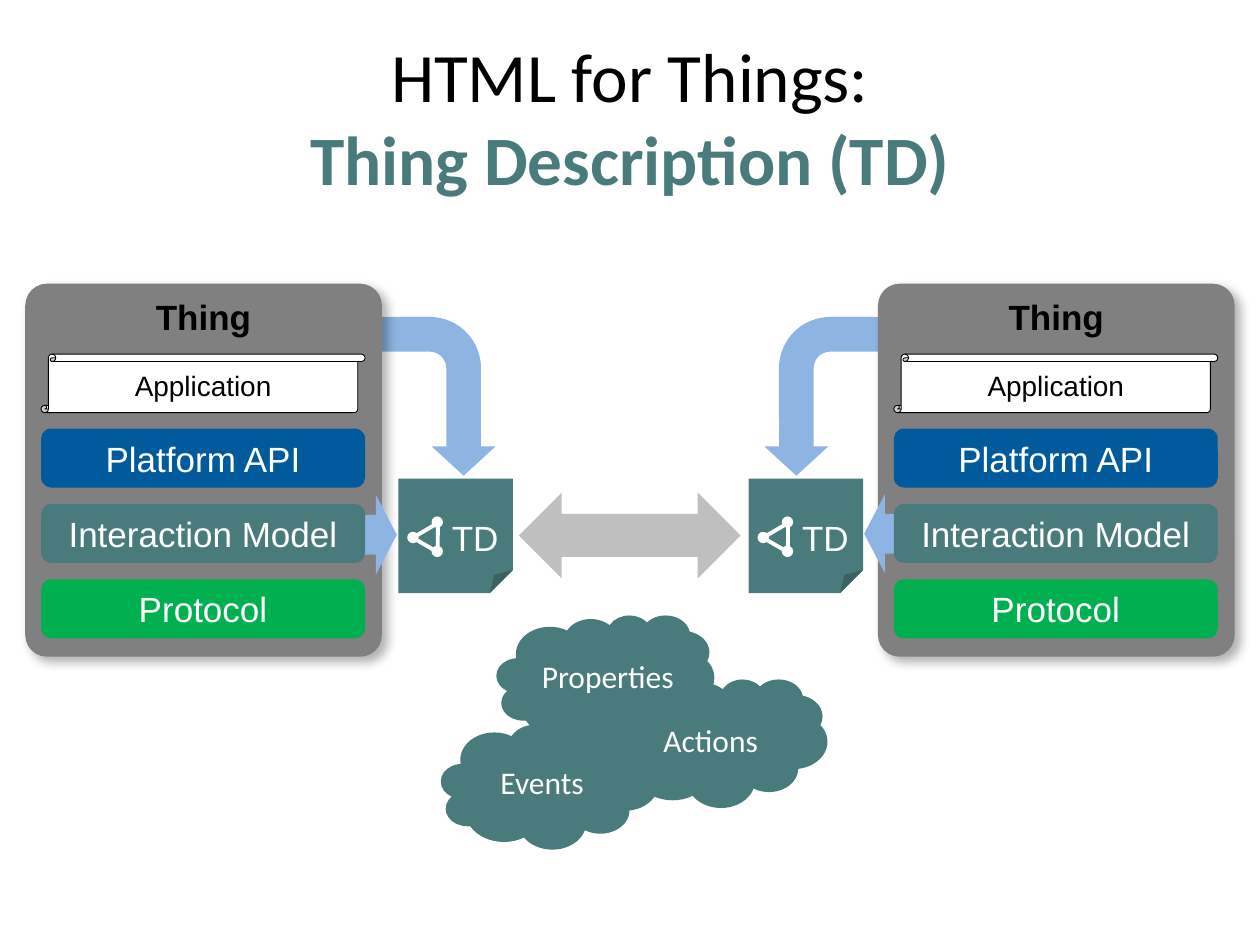
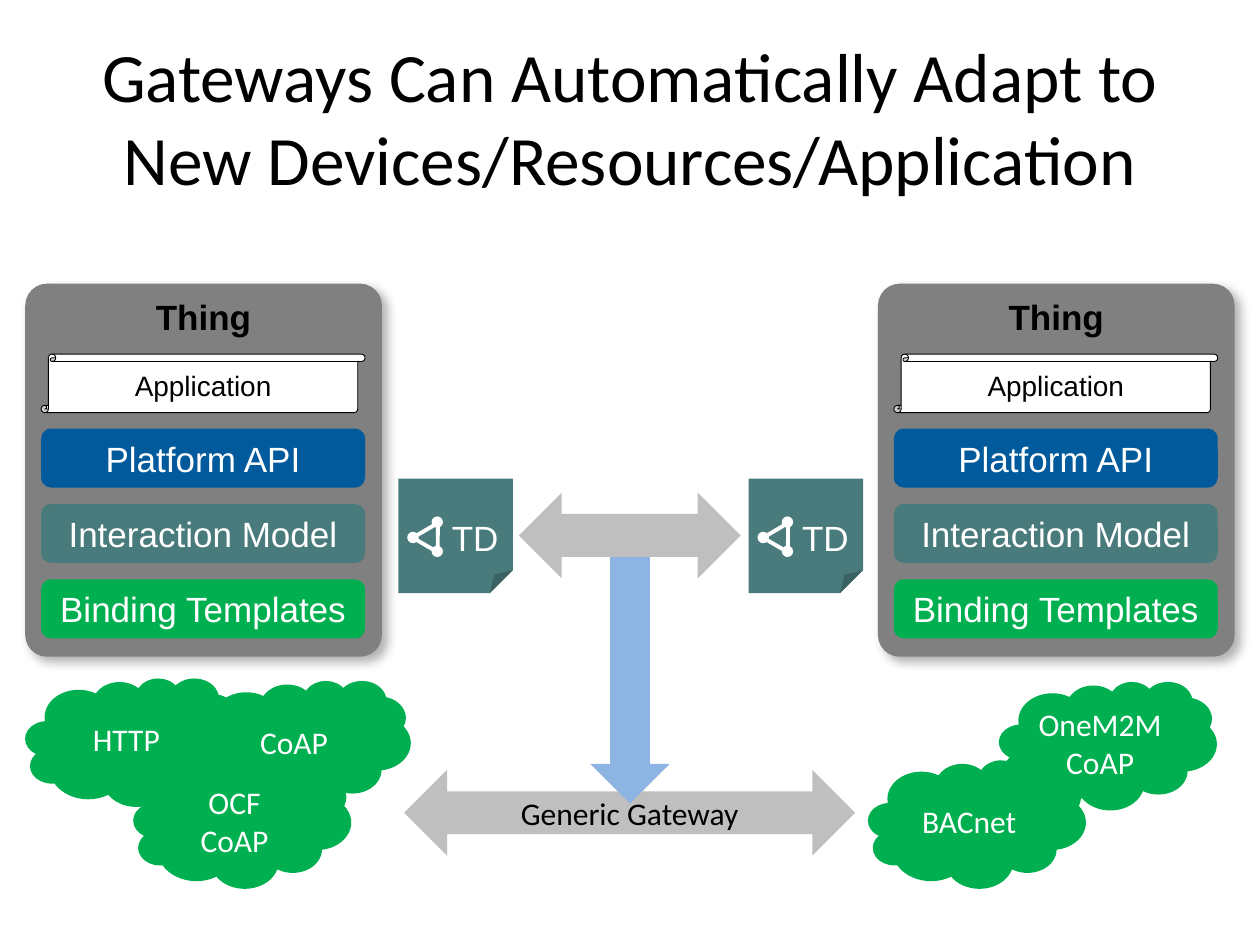
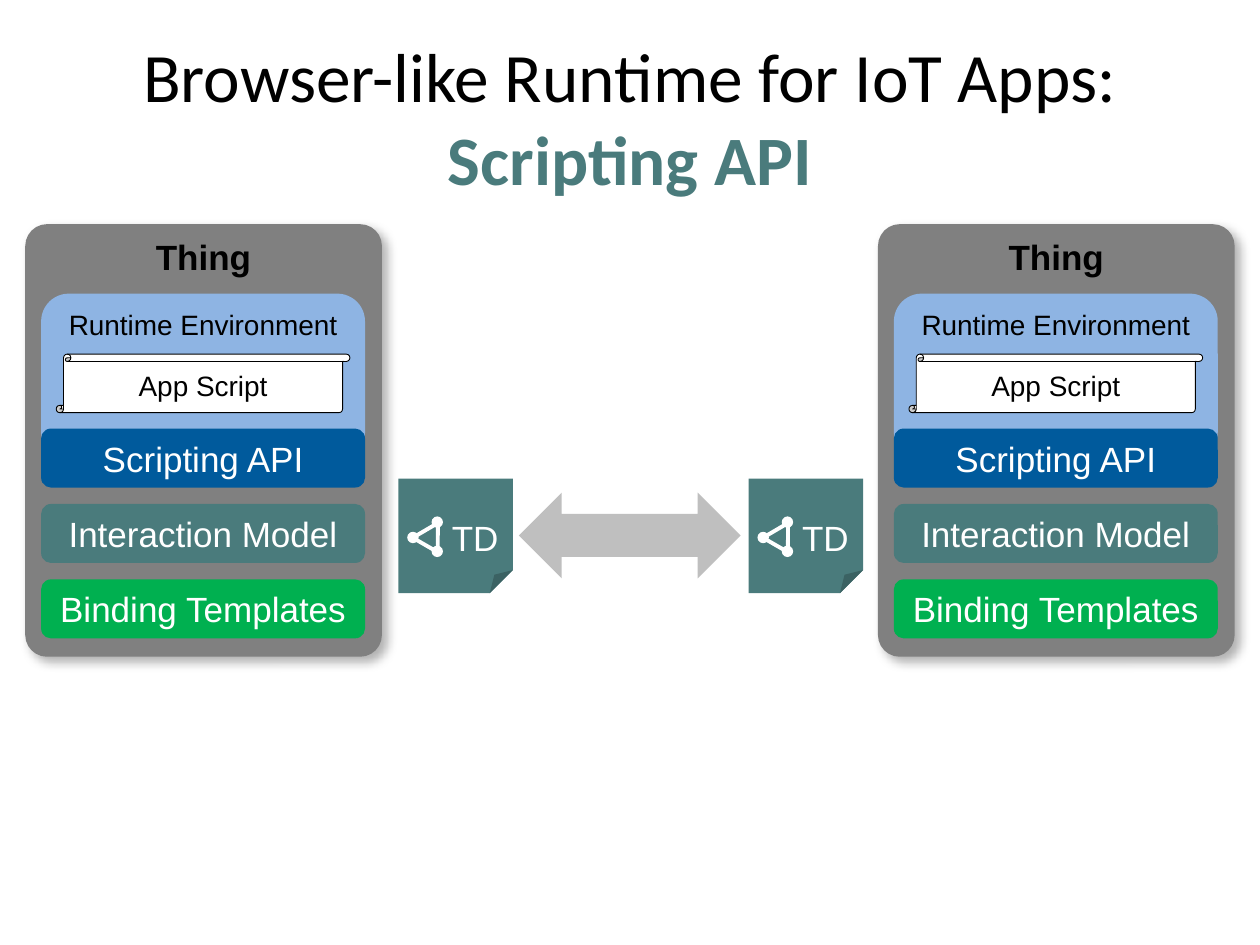
from lxml.etree import SubElement
from pptx import Presentation
from pptx.dml.color import RGBColor
from pptx.enum.shapes import MSO_SHAPE
from pptx.enum.text import MSO_ANCHOR, PP_ALIGN
from pptx.oxml.ns import qn
from pptx.util import Cm, Pt

BLACK = RGBColor(0x00, 0x00, 0x00)
WHITE = RGBColor(0xFF, 0xFF, 0xFF)
GRAY = RGBColor(0x80, 0x80, 0x80)
SILVER = RGBColor(0xBF, 0xBF, 0xBF)
SKY = RGBColor(0x8E, 0xB4, 0xE3)
BLUE = RGBColor(0x00, 0x5A, 0x9C)
TEAL = RGBColor(0x4A, 0x7B, 0x7C)
GREEN = RGBColor(0x00, 0xB0, 0x50)
DIAGRAM_FONT, BODY_FONT = "Arial", "Calibri"

SLIDES = [
    {
        "title": ["HTML for Things:", "Thing Description (TD)"],
        "script": "Application",
        "layers": ["Platform API", "Interaction Model", "Protocol"],
        "feeds": True,
        "cloud_color": TEAL,
        "clouds": [("Properties", 10.01, 12.4), ("Actions", 12.29, 13.69), ("Events", 8.89, 14.53)],
    },
    {
        "title": ["Gateways Can Automatically Adapt to New Devices/Resources/Application"],
        "script": "Application",
        "layers": ["Platform API", "Interaction Model", "Binding Templates"],
        "gateway": "Generic Gateway",
        "cloud_color": GREEN,
        "clouds": [
            ("CoAP", 3.89, 13.72),
            ("OneM2M\nCoAP", 20.14, 13.74),
            ("OCF\nCoAP", 2.69, 15.32),
            ("BACnet", 17.5, 15.32),
            ("HTTP", 0.51, 13.67),
        ],
    },
    {
        "title": ["Browser-like Runtime for IoT Apps:", "Scripting API"],
        "script": "App Script",
        "layers": ["Scripting API", "Interaction Model", "Binding Templates"],
        "runtime": "Runtime Environment",
    },
]

THING_LEFTS = (0.51, 17.7)
THING_WIDTH, THING_BOTTOM = 7.19, 13.24
LAYER_INSET, LAYER_WIDTH, LAYER_HEIGHT = 0.32, 6.53, 1.19
LAYER_TOP, LAYER_STEP = 8.64, 1.52
LAYER_COLORS = (BLUE, TEAL, GREEN)
SCRIPT_TOP, SCRIPT_HEIGHT = 7.14, 1.18
NOTE_LEFTS, NOTE_TOP, NOTE_SIZE = (8.03, 15.09), 9.65, 2.31
DOTS = ((0.67, 0.76, 330), (0.18, 1.07, 330), (0.67, 1.35, 30))
DOT_SIZE = 0.23
CLOUD_WIDTH, CLOUD_HEIGHT = 4.39, 2.59
BENT_ARROWS = ((7.21, 90, False), (14.99, 270, True))
STUB_ARROWS = ((6.78, 10.36, 270), (17.04, 10.34, 90))


def add_shape(owner, preset, left, top, width, height, fill=None, line=None, weight=0.5, turn=0):
    shape = owner.shapes.add_shape(preset, Cm(left), Cm(top), Cm(width), Cm(height))
    shape.shadow.inherit = False
    shape.rotation = turn
    if fill is None:
        shape.fill.background()
    else:
        shape.fill.solid()
        shape.fill.fore_color.rgb = fill
    if line is None:
        shape.line.fill.background()
    else:
        shape.line.color.rgb = line
        shape.line.width = Pt(weight)
    return shape


def set_fold(shape, ratio):
    guides = shape._element.spPr.find(qn("a:prstGeom")).find(qn("a:avLst"))
    for guide in list(guides):
        guides.remove(guide)
    SubElement(guides, qn("a:gd"), name="adj", fmla=f"val {round(ratio * 100000)}")


def style_text(box, text, size, color, font=DIAGRAM_FONT, bold=False, anchor=MSO_ANCHOR.MIDDLE, insets=None, wrap=False):
    frame = box.text_frame
    frame.word_wrap = wrap
    frame.vertical_anchor = anchor
    if insets:
        frame.margin_left, frame.margin_top, frame.margin_right, frame.margin_bottom = map(Cm, insets)
    paragraph = frame.paragraphs[0]
    paragraph.text = text
    paragraph.alignment = PP_ALIGN.CENTER
    for span in paragraph.runs:
        span.font.name = font
        span.font.size = Pt(size)
        span.font.bold = bold
        span.font.color.rgb = color
    return paragraph.runs


def add_title(page, lines):
    box = page.shapes.add_textbox(Cm(1.27), Cm(0.76), Cm(22.86), Cm(3.18))
    spans = style_text(box, "\v".join(lines), 39.6, BLACK, BODY_FONT, wrap=True)
    for span in spans[1:]:
        span.font.bold = True
        span.font.color.rgb = TEAL


def add_soft_shadow(shape):
    effects = shape._element.spPr.find(qn("a:effectLst"))
    shadow = SubElement(effects, qn("a:outerShdw"), blurRad=str(Pt(6)), dist=str(Pt(4)),
                        dir="2700000", algn="tl", rotWithShape="0")
    color = SubElement(shadow, qn("a:srgbClr"), val=str(BLACK))
    SubElement(color, qn("a:alpha"), val="30000")


def add_thing_panel(page, left, top):
    panel = add_shape(page, MSO_SHAPE.ROUNDED_RECTANGLE, left, top, THING_WIDTH, THING_BOTTOM - top, GRAY)
    panel.adjustments[0] = 0.061
    add_soft_shadow(panel)
    style_text(panel, "Thing", 20, BLACK, bold=True, anchor=MSO_ANCHOR.TOP, insets=(0.25, 0.1, 0.25, 0.2))


def add_thing_layers(page, left, content):
    left += LAYER_INSET
    script_width = LAYER_WIDTH
    if "runtime" in content:
        script_width = 5.92
        runtime = add_shape(page, MSO_SHAPE.ROUNDED_RECTANGLE, left, 5.92, LAYER_WIDTH, 3.35, SKY)
        style_text(runtime, content["runtime"], 16, BLACK, anchor=MSO_ANCHOR.TOP)
    for row, (name, color) in enumerate(zip(content["layers"], LAYER_COLORS)):
        layer = add_shape(page, MSO_SHAPE.ROUNDED_RECTANGLE, left, LAYER_TOP + row * LAYER_STEP,
                          LAYER_WIDTH, LAYER_HEIGHT, color)
        style_text(layer, name, 20, WHITE)
    script = add_shape(page, MSO_SHAPE.VERTICAL_SCROLL, left + (LAYER_WIDTH - script_width) / 2,
                       SCRIPT_TOP, script_width, SCRIPT_HEIGHT, WHITE, BLACK)
    style_text(script, content["script"], 16, BLACK)


def add_bent_arrows(page):
    for left, turn, flipped in BENT_ARROWS:
        arrow = add_shape(page, MSO_SHAPE.BENT_ARROW, left, 6.81, 3.2, 2.36, SKY, turn=turn)
        for position, ratio in enumerate((0.296, 0.273, 0.25, 0.438)):
            arrow.adjustments[position] = ratio
        if flipped:
            arrow._element.spPr.xfrm.set("flipH", "1")


def add_stub_arrows(page):
    for left, top, turn in STUB_ARROWS:
        add_shape(page, MSO_SHAPE.DOWN_ARROW, left, top, 1.6, 0.84, SKY, turn=turn)


def add_clouds(page, clouds, color):
    for name, left, top in clouds:
        cloud = add_shape(page, MSO_SHAPE.CLOUD, left, top, CLOUD_WIDTH, CLOUD_HEIGHT, color)
        insets = (0.41, 0.13, 0, 0.13) if name == "Properties" else None
        style_text(cloud, name.replace("\n", "\v"), 18, WHITE, BODY_FONT, insets=insets)


def add_gateway(page, name):
    gateway = add_shape(page, MSO_SHAPE.LEFT_RIGHT_ARROW, 8.15, 15.52, 9.09, 1.73, SILVER)
    style_text(gateway, name, 18, BLACK, BODY_FONT)
    add_shape(page, MSO_SHAPE.DOWN_ARROW, 11.9, 10.64, 1.6, 5.56, SKY)


def add_description_note(page, left):
    group = page.shapes.add_group_shape()
    note = add_shape(group, MSO_SHAPE.FOLDED_CORNER, left, NOTE_TOP, NOTE_SIZE, NOTE_SIZE, TEAL)
    set_fold(note, 0.202)
    style_text(note, "TD", 20, WHITE, insets=(0.79, 0.51, 0, 0), wrap=True)
    add_shape(group, MSO_SHAPE.ISOSCELES_TRIANGLE, left + 0.38, NOTE_TOP + 0.86, 0.58, 0.51,
              line=WHITE, weight=2.25, turn=30)
    for across, down, turn in DOTS:
        add_shape(group, MSO_SHAPE.OVAL, left + across, NOTE_TOP + down, DOT_SIZE, DOT_SIZE, WHITE, turn=turn)


def build_slide(deck, content):
    page = deck.slides.add_slide(deck.slide_layouts[6])
    add_title(page, content["title"])
    if content.get("feeds"):
        add_bent_arrows(page)
    for left in THING_LEFTS:
        add_thing_panel(page, left, 4.52 if "runtime" in content else 5.72)
    if content.get("feeds"):
        add_stub_arrows(page)
    for left in THING_LEFTS:
        add_thing_layers(page, left, content)
    if "gateway" in content:
        add_gateway(page, content["gateway"])
    add_clouds(page, content.get("clouds", []), content.get("cloud_color"))
    add_shape(page, MSO_SHAPE.LEFT_RIGHT_ARROW, 10.46, 9.93, 4.47, 1.73, SILVER)
    for left in NOTE_LEFTS:
        add_description_note(page, left)


def main():
    deck = Presentation()
    deck.slide_width, deck.slide_height = Cm(25.4), Cm(19.05)
    for content in SLIDES:
        build_slide(deck, content)
    deck.save("out.pptx")


if __name__ == "__main__":
    main()
